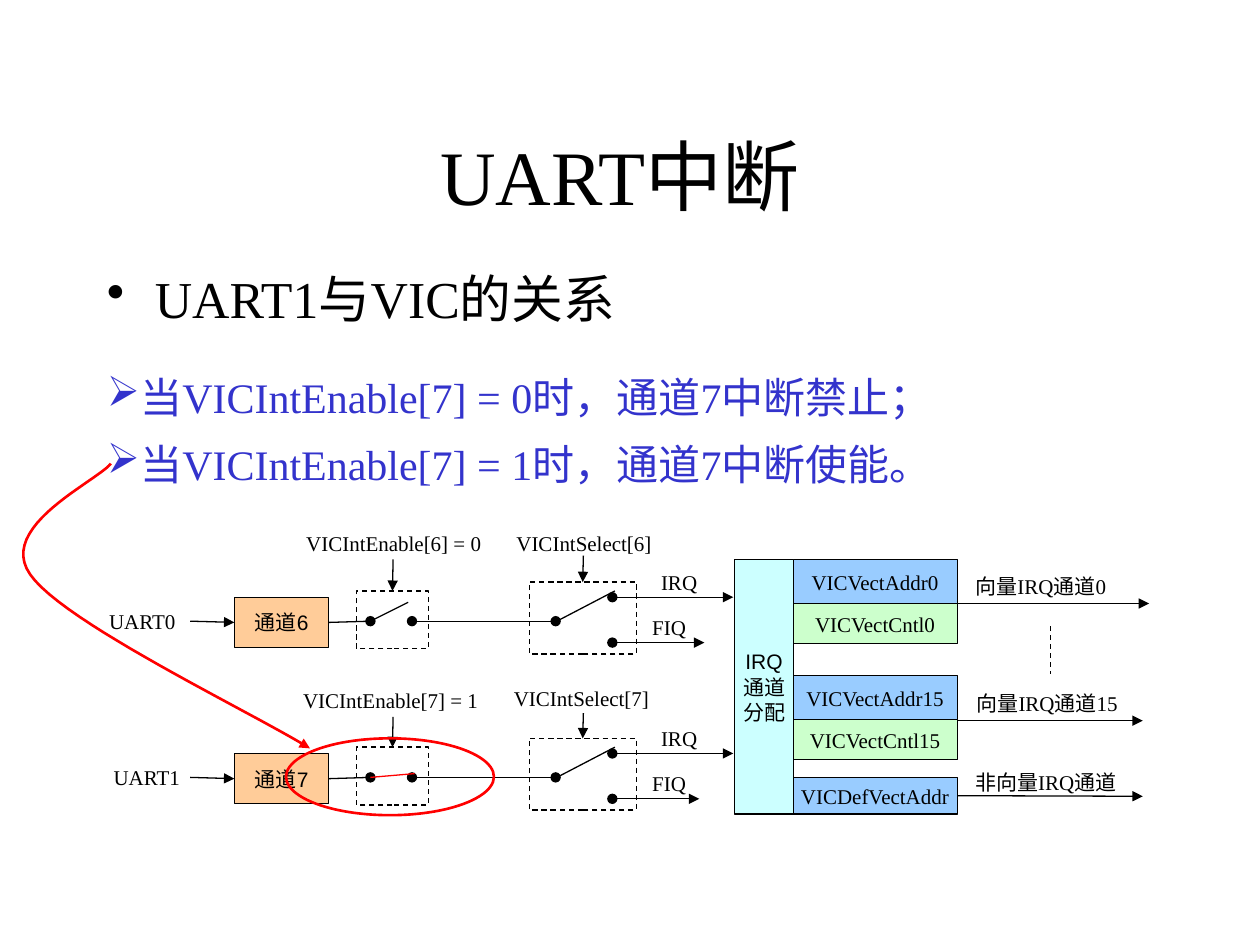
from dataclasses import dataclass
from typing import Optional

from lxml import etree
from pptx import Presentation
from pptx import util as u
from pptx.dml.color import RGBColor
from pptx.enum import dml, shapes, text
from pptx.oxml import ns

SERIF, SANS = "Times New Roman", "Arial"
BLACK, RED, INDIGO = "000000", "FF0000", "3333CC"
ORANGE, BLUE, GREEN, CYAN = "FFCC99", "99CCFF", "CCFFCC", "CCFFFF"
COLUMN_LEFT, COLUMN_WIDTH, REGISTER_WIDTH = 6.29, 0.47, 1.31


@dataclass
class Label:
    words: str
    left: float
    top: float
    width: float
    height: float = 0.3


@dataclass
class Channel:
    number: int
    shift: float
    source: Label
    enable: Label
    select: Label
    enable_start: float
    select_start: float
    fiq_end: float
    blade_end: tuple[float, float]
    blade_color: str


@dataclass
class Register:
    name: str
    top: float
    height: float
    color: str


CHANNELS = [
    Channel(6, 0, Label("UART0", 0.7, 4.78, 0.86), Label("VICIntEnable[6] = 0", 2.32, 4.16, 1.61),
            Label("VICIntSelect[6]", 3.94, 4.16, 1.39), 4.44, 4.41, 5.59, (3.24, 4.78), BLACK),
    Channel(7, 1.24, Label("UART1", 0.8, 6.02, 0.73), Label("VICIntEnable[7] = 1", 2.29, 5.41, 1.62),
            Label("VICIntSelect[7]", 3.92, 5.39, 1.39), 5.69, 5.66, 5.55, (3.29, 6.14), RED),
]
REGISTERS = [
    Register("VICVectAddr0", 4.44, 0.36, BLUE),
    Register("VICVectCntl0", 4.79, 0.32, GREEN),
    Register("VICVectAddr15", 5.36, 0.36, BLUE),
    Register("VICVectCntl15", 5.71, 0.32, GREEN),
    Register("VICDefVectAddr", 6.17, 0.29, BLUE),
]
OUTPUTS = [
    Label("向量IRQ通道0", 7.6, 4.5, 1.32, 0.5),
    Label("向量IRQ通道15", 7.6, 5.43, 1.42, 0.5),
    Label("非向量IRQ通道", 7.6, 6.06, 1.4),
]
CURVE = [
    ((0.88, 3.68), (0.77, 3.82), (-0.03, 4.18), (0.24, 4.56)),
    ((0.24, 4.56), (0.5, 4.94), (1.99, 5.65), (2.46, 5.94)),
]


def rgb(value: str) -> RGBColor:
    """Turn a hex string into a colour."""
    return RGBColor.from_string(value)


def add_child(parent, tag: str, **attributes: str):
    """Append a DrawingML element to its parent."""
    return etree.SubElement(parent, ns.qn(f"a:{tag}"), attributes)


def style_line(line, color: str, width: float = 0.75, dashed: bool = False,
               head: Optional[str] = None, tail: Optional[str] = None) -> None:
    """Set the stroke and the end markers of an outline."""
    line.color.rgb = rgb(color)
    line.width = u.Pt(width)
    if dashed:
        line.dash_style = dml.MSO_LINE.DASH
    for tag, marker in (("headEnd", head), ("tailEnd", tail)):
        if marker:
            add_child(line._get_or_add_ln(), tag, type=marker)


def write(frame, lines: list[str], size: float, font: str = SERIF, color: str = BLACK,
          align=text.PP_ALIGN.CENTER, bullet: Optional[str] = None,
          indent: float = 0, spacing: Optional[float] = None) -> None:
    """Write paragraphs into a text frame."""
    for index, words in enumerate(lines):
        para = frame.add_paragraph() if index else frame.paragraphs[0]
        para.alignment = align
        para.line_spacing = spacing
        if bullet:
            properties = para._p.get_or_add_pPr()
            properties.set("marL", str(u.Inches(indent)))
            properties.set("indent", str(-u.Inches(indent)))
            add_child(add_child(properties, "buClr"), "srgbClr", val=color)
            add_child(properties, "buChar", char=bullet)
        span = para.add_run()
        span.text = words
        span.font.size = u.Pt(size)
        span.font.name = font
        span.font.color.rgb = rgb(color)


def add_text(page, label: Label, size: float = 12, anchor=text.MSO_ANCHOR.TOP,
             grow: bool = True, **style) -> None:
    """Add a wrapped text box."""
    box = page.shapes.add_textbox(*map(u.Inches, (label.left, label.top, label.width, label.height)))
    frame = box.text_frame
    frame.word_wrap = True
    frame.vertical_anchor = anchor
    frame.auto_size = text.MSO_AUTO_SIZE.SHAPE_TO_FIT_TEXT if grow else text.MSO_AUTO_SIZE.NONE
    write(frame, [label.words], size, **style)


def add_box(page, left: float, top: float, width: float, height: float, fill: str,
            lines: Optional[list[str]] = None, font: str = SERIF, dashed: bool = False):
    """Add a filled rectangle with optional centred text."""
    box = page.shapes.add_shape(shapes.MSO_SHAPE.RECTANGLE, *map(u.Inches, (left, top, width, height)))
    box.shadow.inherit = False
    box.fill.solid()
    box.fill.fore_color.rgb = rgb(fill)
    style_line(box.line, BLACK, dashed=dashed)
    if lines:
        box.text_frame.word_wrap = False
        box.text_frame.vertical_anchor = text.MSO_ANCHOR.MIDDLE
        write(box.text_frame, lines, 12, font)
    return box


def add_wire(page, start: tuple[float, float], end: tuple[float, float], color: str = BLACK, **style):
    """Add a straight connector between two points."""
    wire = page.shapes.add_connector(shapes.MSO_CONNECTOR.STRAIGHT, *map(u.Inches, (*start, *end)))
    style_line(wire.line, color, **style)
    add_child(wire._element.spPr, "effectLst")
    return wire


def draw_channel(page, channel: Channel) -> None:
    """Draw one interrupt channel with its two switches."""
    shift = channel.shift
    middle, irq, fiq = 4.93 + shift, 4.74 + shift, 5.1 + shift
    select = add_box(page, 4.2, 4.62 + shift, 0.85, 0.57, "FFFFFF", dashed=True)
    enable = add_box(page, 2.83, 4.69 + shift, 0.57, 0.46, "FFFFFF", dashed=True)
    source = add_box(page, 1.86, 4.74 + shift, 0.75, 0.4, ORANGE, [f"通道{channel.number}"], SANS)
    add_wire(page, (2.62, middle), (2.94, middle), tail="oval").begin_connect(source, 3)
    add_wire(page, (1.51, middle), (1.86, middle), tail="triangle").end_connect(source, 1)
    add_wire(page, (3.27, middle), (4.41, middle), head="oval", tail="oval")
    add_wire(page, (4.86, irq), (5.82, irq), head="oval", tail="triangle")
    add_wire(page, (4.86, fiq), (channel.fiq_end, fiq), head="oval", tail="triangle")
    add_wire(page, (4.42, middle), (4.88, 4.69 + shift))
    add_wire(page, (2.94, middle), channel.blade_end, channel.blade_color)
    for label in (channel.source, channel.enable, channel.select,
                  Label("IRQ", 5.13, 4.47 + shift, 0.52), Label("FIQ", 5.05, 4.83 + shift, 0.52)):
        add_text(page, label)
    for x, start, switch in ((3.12, channel.enable_start, enable), (4.63, channel.select_start, select)):
        add_wire(page, (x, start), (x, start + 0.24), tail="triangle").end_connect(switch, 0)


def draw_outputs(page) -> None:
    """Draw the allocation column, its registers and the outgoing channels."""
    for register in REGISTERS:
        last = add_box(page, COLUMN_LEFT, register.top, REGISTER_WIDTH, register.height,
                       register.color, [register.name])
    add_box(page, 5.83, 4.44, COLUMN_WIDTH, 2.02, CYAN, ["IRQ", "通道", "分配"], SANS)
    for label in OUTPUTS:
        add_text(page, label)
    add_wire(page, (7.6, 4.79), (9.12, 4.79), tail="triangle")
    add_wire(page, (7.6, 5.72), (9.07, 5.72), tail="triangle")
    add_wire(page, (7.6, 6.32), (9.07, 6.32), tail="triangle").begin_connect(last, 3)
    add_wire(page, (8.34, 4.97), (8.34, 5.35), dashed=True)


def bezier(points, t: float) -> tuple[int, int]:
    """Find the point of a cubic curve at t."""
    weights = ((1 - t) ** 3, 3 * t * (1 - t) ** 2, 3 * t * t * (1 - t), t ** 3)
    x, y = (sum(w * p[axis] for w, p in zip(weights, points)) for axis in (0, 1))
    return u.Inches(x), u.Inches(y)


def draw_highlight(page) -> None:
    """Circle the closed switch and point to it with a curved arrow."""
    ring = page.shapes.add_shape(shapes.MSO_SHAPE.OVAL, *map(u.Inches, (2.27, 5.86, 1.65, 0.61)))
    ring.shadow.inherit = False
    ring.fill.background()
    style_line(ring.line, RED, 1.5)
    steps = 24
    points = [bezier(piece, step / steps) for piece in CURVE for step in range(1, steps + 1)]
    builder = page.shapes.build_freeform(*bezier(CURVE[0], 0))
    builder.add_line_segments(points, close=False)
    arrow = builder.convert_to_shape()
    arrow.shadow.inherit = False
    arrow.fill.background()
    style_line(arrow.line, RED, 1.5, tail="triangle")


def main() -> None:
    """Build the slide and save it."""
    deck = Presentation()
    deck.slide_width, deck.slide_height = u.Inches(10), u.Inches(7.5)
    page = deck.slides.add_slide(deck.slide_layouts[6])
    left = text.PP_ALIGN.LEFT
    add_text(page, Label("UART中断", 0.67, 0.76, 8.5, 1.25), 44, text.MSO_ANCHOR.MIDDLE, False)
    add_text(page, Label("UART1与VIC的关系", 0.75, 2.12, 8.42, 0.63), 29.6, grow=False,
             align=left, bullet="•", indent=0.38, spacing=0.9)
    for words, top in (("当VICIntEnable[7] = 0时，通道7中断禁止；", 2.9),
                       ("当VICIntEnable[7] = 1时，通道7中断使能。", 3.43)):
        add_text(page, Label(words, 0.75, top, 7.17, 0.5), 24, color=INDIGO, align=left, bullet="➢")
    for channel in CHANNELS:
        draw_channel(page, channel)
    draw_outputs(page)
    draw_highlight(page)
    deck.save("out.pptx")


if __name__ == "__main__":
    main()
